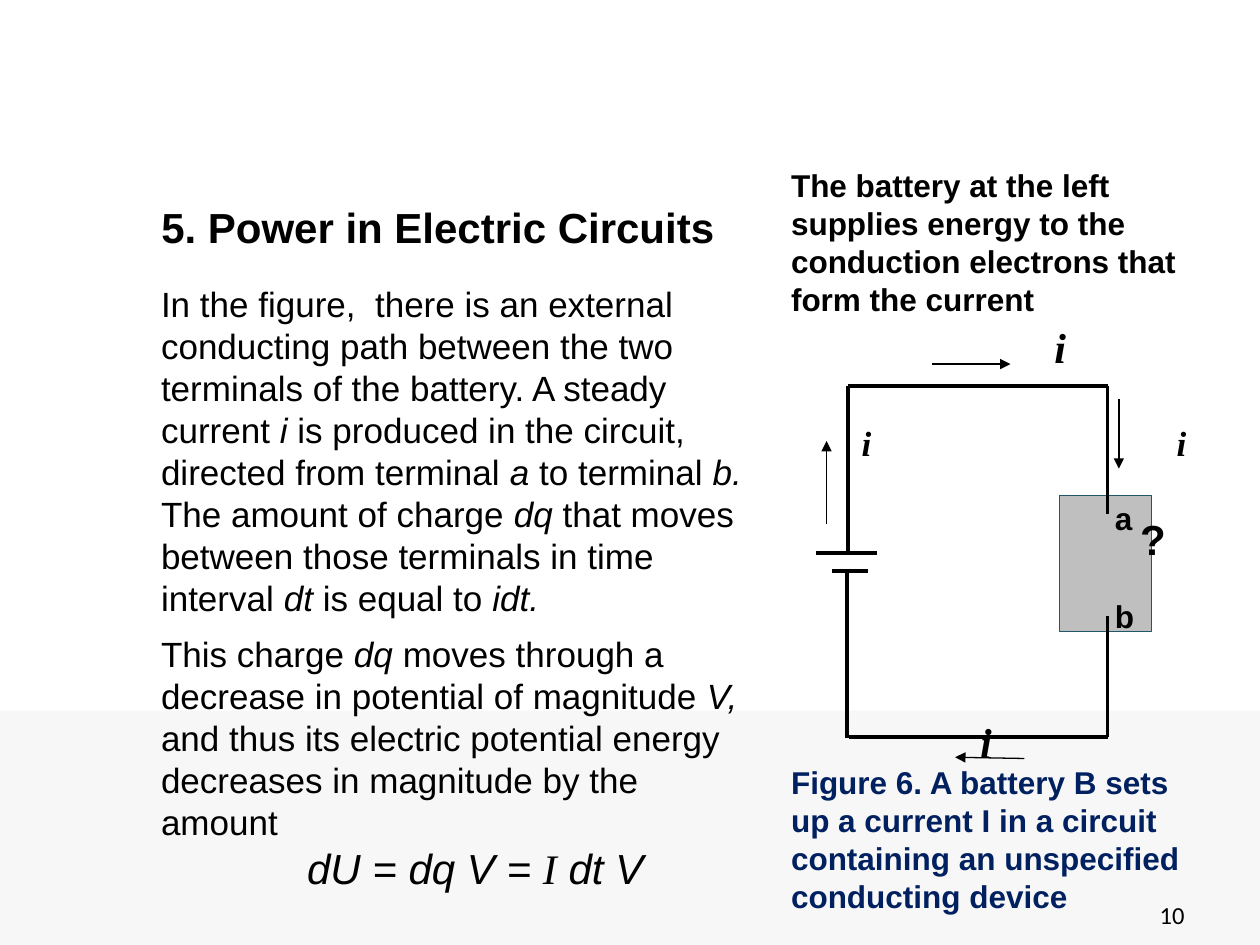
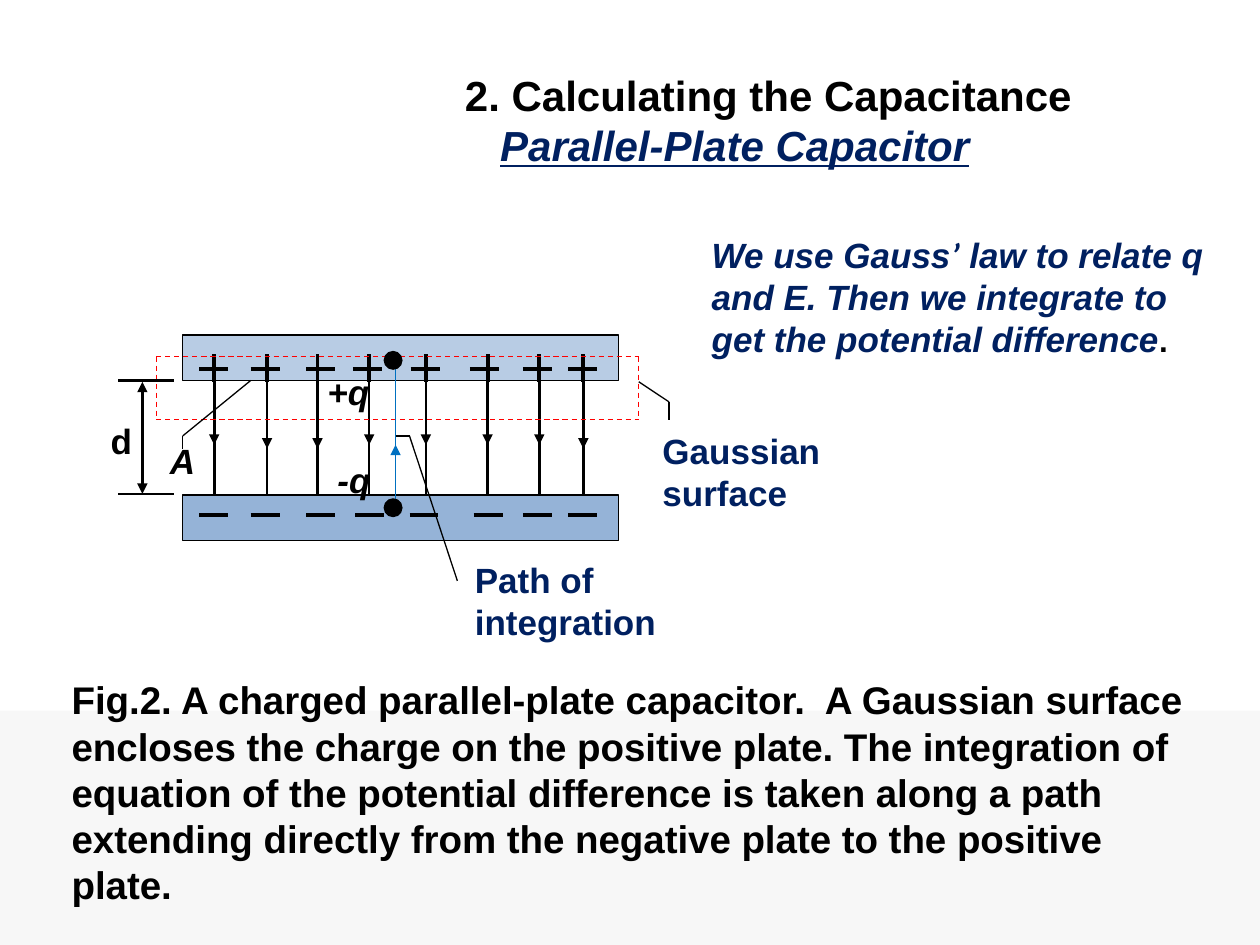
"""Build two physics slides: power in a circuit and the parallel-plate capacitor."""
import lxml.etree
import pptx
import pptx.dml.color
import pptx.enum.dml
import pptx.enum.shapes
import pptx.enum.text
import pptx.oxml.ns
import pptx.util

Inches = pptx.util.Inches
Pt = pptx.util.Pt
rgb = pptx.dml.color.RGBColor.from_string
Preset = pptx.enum.shapes.MSO_SHAPE
Anchor = pptx.enum.text.MSO_ANCHOR
Align = pptx.enum.text.PP_ALIGN
BLACK, NAVY, RED, BLUE = "000000", "002060", "FF0000", "0070C0"
SERIF = "Times New Roman"


def add_figure(page, preset, place, fill, line=None):
    figure = page.shapes.add_shape(preset, *[Inches(value) for value in place])
    figure.shadow.inherit = False
    figure.fill.solid()
    figure.fill.fore_color.rgb = rgb(fill)
    if line:
        figure.line.color.rgb = rgb(line)
        figure.line.width = Pt(0.75)
    else:
        figure.line.fill.background()
    return figure


def write(box, place, paragraphs, size, color=BLACK, wrap=True, anchor=Anchor.TOP,
          align=Align.LEFT, before=0, indent=0, **style):
    box.left, box.top, box.width, box.height = [Inches(value) for value in place]
    frame = box.text_frame
    frame.auto_size = pptx.enum.text.MSO_AUTO_SIZE.NONE
    frame.word_wrap = wrap
    frame.vertical_anchor = anchor
    for index, spans in enumerate(paragraphs):
        para = frame.paragraphs[0] if index == 0 else frame.add_paragraph()
        para.alignment = align
        last = index > 0 and index == len(paragraphs) - 1
        if last and indent:
            para._p.get_or_add_pPr().set("marL", str(Inches(indent)))
        if index == 1:
            para.space_before = Pt(before)
        if isinstance(spans, str):
            spans = [(spans, {})]
        para.line_spacing = Pt(round(1.2 * spans[0][1].get("size", size), 1))
        for text, changes in spans:
            look = {"size": size, "color": color, "name": "Arial", **style, **changes}
            span = para.add_run()
            span.text = text
            span.font.size = Pt(look["size"])
            span.font.color.rgb = rgb(look["color"])
            span.font.name = look["name"]
            span.font.bold = look.get("bold", False)
            span.font.italic = look.get("italic", False)
            span.font.underline = look.get("underline", False)


deck = pptx.Presentation()
deck.slide_width, deck.slide_height = Inches(10), Inches(7.5)
layout = deck.slide_layouts[5]
circuit = deck.slides.add_slide(layout)
capacitor = deck.slides.add_slide(layout)

band = add_figure(circuit, Preset.RECTANGLE, (0, 5.64, 10, 1.86), "F7F7F7")
layout.shapes.element.insert(2, band.element)

add_figure(circuit, Preset.RECTANGLE, (8.41, 3.93, 0.73, 1.08), "BFBFBF", "205867")
for top, fill in ((2.66, "B8CCE4"), (3.93, "95B3D7")):
    add_figure(capacitor, Preset.RECTANGLE, (1.45, top, 3.46, 0.36), fill, BLACK)

wires = [
    (6.73, 3.06, 6.73, 4.39), (6.72, 4.54, 6.72, 5.86), (6.73, 3.06, 8.79, 3.06),
    (8.79, 3.06, 8.79, 4.08), (8.79, 4.89, 8.79, 5.85), (8.79, 5.85, 6.74, 5.85),
    (6.96, 4.39, 6.48, 4.39), (6.89, 4.53, 6.6, 4.53),
]
current_arrows = [
    (7.4, 2.89, 8.02, 2.89), (8.88, 3.17, 8.88, 3.72),
    (8.13, 6.02, 7.58, 6.01), (6.56, 4.16, 6.56, 3.5),
]
field_lines = [
    (1.7, 1.58, 1.58, 3.53), (2.12, 1.99, 1.99, 3.56), (2.52, 2.43, 2.43, 3.56),
    (2.93, 2.8, 2.82, 3.53), (3.38, 3.26, 3.25, 3.53), (3.87, 3.73, 3.76, 3.53),
    (4.28, 4.15, 4.15, 3.53), (4.63, 4.51, 4.51, 3.56),
]
charge_signs, field_stems, field_heads = [], [], []
for x, plus_left, minus_left, tip in field_lines:
    charge_signs += [
        (plus_left, 2.93, plus_left + 0.23, 2.93), (x, 2.81, x, 3.03),
        (minus_left, 4.09, minus_left + 0.23, 4.09),
    ]
    field_stems.append((x, 3.03, x, 3.93))
    field_heads.append((x, tip - 0.2, x, tip))
gaussian_sides = [
    (1.24, 2.83, 5.07, 2.83), (1.24, 2.83, 1.24, 3.33),
    (1.24, 3.33, 5.07, 3.33), (5.07, 2.83, 5.07, 3.33),
]
leaders = [
    (5.07, 3.03, 5.31, 3.19), (5.31, 3.19, 5.31, 3.33), (1.99, 3.02, 1.45, 3.46),
    (1.45, 3.46, 1.45, 3.56), (3.14, 3.46, 3.25, 3.46), (3.25, 3.46, 3.63, 4.61),
]
line_groups = [
    (circuit, wires, BLACK, 2.25, False, []),
    (circuit, current_arrows, BLACK, 0.75, False, ["tailEnd"]),
    (capacitor, charge_signs, BLACK, 2.25, False, []),
    (capacitor, field_stems, BLACK, 1.5, False, []),
    (capacitor, field_heads, BLACK, 0.75, False, ["tailEnd"]),
    (capacitor, gaussian_sides, RED, 0.75, True, []),
    (capacitor, [(3.14, 4.09, 3.14, 2.83)], BLUE, 0.75, False, []),
    (capacitor, [(3.14, 3.65, 3.14, 3.53)], BLUE, 0.75, False, ["tailEnd"]),
    (capacitor, [(0.94, y, 1.38, y) for y in (3.02, 3.92)], BLACK, 1.5, False, []),
    (capacitor, [(1.13, 3.03, 1.13, 3.92)], BLACK, 1.5, False, ["headEnd", "tailEnd"]),
    (capacitor, leaders, BLACK, 0.75, False, []),
]
for page, lines, color, width, dashed, arrowheads in line_groups:
    for ends in lines:
        connector = page.shapes.add_connector(
            pptx.enum.shapes.MSO_CONNECTOR.STRAIGHT, *[Inches(value) for value in ends])
        connector.line.color.rgb = rgb(color)
        connector.line.width = Pt(width)
        if dashed:
            connector.line.dash_style = pptx.enum.dml.MSO_LINE.DASH
        properties = connector.element.spPr
        for arrowhead in arrowheads:
            lxml.etree.SubElement(properties.get_or_add_ln(),
                                  pptx.oxml.ns.qn("a:" + arrowhead), type="triangle")
        lxml.etree.SubElement(properties, pptx.oxml.ns.qn("a:effectLst"))

for top in (2.79, 3.96):
    add_figure(capacitor, Preset.OVAL, (3.05, top, 0.14, 0.14), BLACK, BLACK)

write(circuit.shapes.title, (1.18, 1.55, 4.73, 0.51), ["5. Power in Electric Circuits"],
      24, wrap=False, bold=True)
write(capacitor.shapes.title, (3.59, 0.5, 5.16, 0.91), [
    "2. Calculating the Capacitance",
    [("Parallel-Plate Capacitor", {"color": NAVY, "italic": True, "underline": True})],
], 24, wrap=False, indent=0.28, bold=True)

explanation = [
    "In the figure,  there is an external conducting path between the two terminals of "
    "the battery. A steady current *i *is produced in the circuit, directed from terminal "
    "*a *to terminal *b. *The amount of charge *dq *that moves between those terminals in "
    "time interval *dt *is equal to *idt.",
    "This charge *dq *moves through a decrease in potential of magnitude *V, *and thus its "
    "electric potential energy decreases in magnitude by the amount",
]
body = [[(text, {"italic": index % 2 == 1}) for index, text in enumerate(passage.split("*"))]
        for passage in explanation]
equation = {"size": 24, "italic": True}
body.append([("dU = dq V = ", equation), ("I", {**equation, "name": SERIF}),
             (" dt V", equation)])
gauss_note = [[("We use Gauss", {}), ("’", {"name": "Calibri"}),
               (" law to relate q and E. Then we integrate to get the potential difference", {}),
               (".", {"size": 18, "color": BLACK, "italic": False})]]

bold = {"bold": True}
navy = {"bold": True, "color": NAVY}
slanted = {"bold": True, "italic": True}
symbol = {**slanted, "name": SERIF}
middle = {"anchor": Anchor.MIDDLE}
texts = [
    (circuit, (1.18, 2.19, 4.87, 5), body, 20, {"before": 8, "indent": 1.16}),
    (circuit, (6.18, 1.27, 3.51, 1.3), [
        "The battery at the left supplies energy to the conduction electrons that form "
        "the current"], 18, bold),
    (circuit, (8.27, 2.5, 0.4, 0.5), ["i"], 24, symbol),
    (circuit, (6.74, 3.3, 0.4, 0.44), ["i"], 20, symbol),
    (circuit, (9.24, 3.3, 0.4, 0.44), ["i"], 20, symbol),
    (circuit, (8.95, 4.03, 0.45, 0.5), ["?"], 24, bold),
    (circuit, (7.68, 5.64, 0.4, 0.5), ["i"], 24, symbol),
    (circuit, (6.18, 6.01, 3.51, 1.3), [
        "Figure 6. A battery B sets up a current I in a circuit containing an unspecified "
        "conducting device"], 18, navy),
    (circuit, (7.17, 7.06, 2.33, 0.4), ["10"], 14,
     {**middle, "align": Align.RIGHT, "name": "Calibri"}),
    (circuit, (8.75, 3.91, 0.34, 0.4), ["a"], 18, bold),
    (circuit, (8.75, 4.69, 0.34, 0.4), ["b"], 18, bold),
    (capacitor, (5.16, 3.36, 1.54, 0.77), ["Gaussian", "surface"], 20, navy),
    (capacitor, (0.78, 3.28, 0.37, 0.44), ["d"], 20, bold),
    (capacitor, (1.25, 3.44, 0.39, 0.44), ["A"], 20, slanted),
    (capacitor, (2.5, 2.89, 0.54, 0.44), ["+q"], 20, slanted),
    (capacitor, (2.58, 3.59, 0.54, 0.44), ["-q"], 20, slanted),
    (capacitor, (3.67, 4.38, 1.65, 0.77), ["Path of", "integration"], 20, navy),
    (capacitor, (0.47, 5.31, 9.22, 1.95), [
        "Fig.2. A charged parallel-plate capacitor.  A Gaussian surface encloses the charge "
        "on the positive plate. The integration of equation of the potential difference is "
        "taken along a path extending directly from the negative plate to the positive "
        "plate."], 22, {**bold, **middle}),
    (capacitor, (5.55, 1.8, 4.14, 1.11), gauss_note, 20,
     {**navy, **middle, "italic": True}),
]
for page, place, paragraphs, size, style in texts:
    write(page.shapes.add_textbox(0, 0, 0, 0), place, paragraphs, size, **style)

deck.save("out.pptx")
